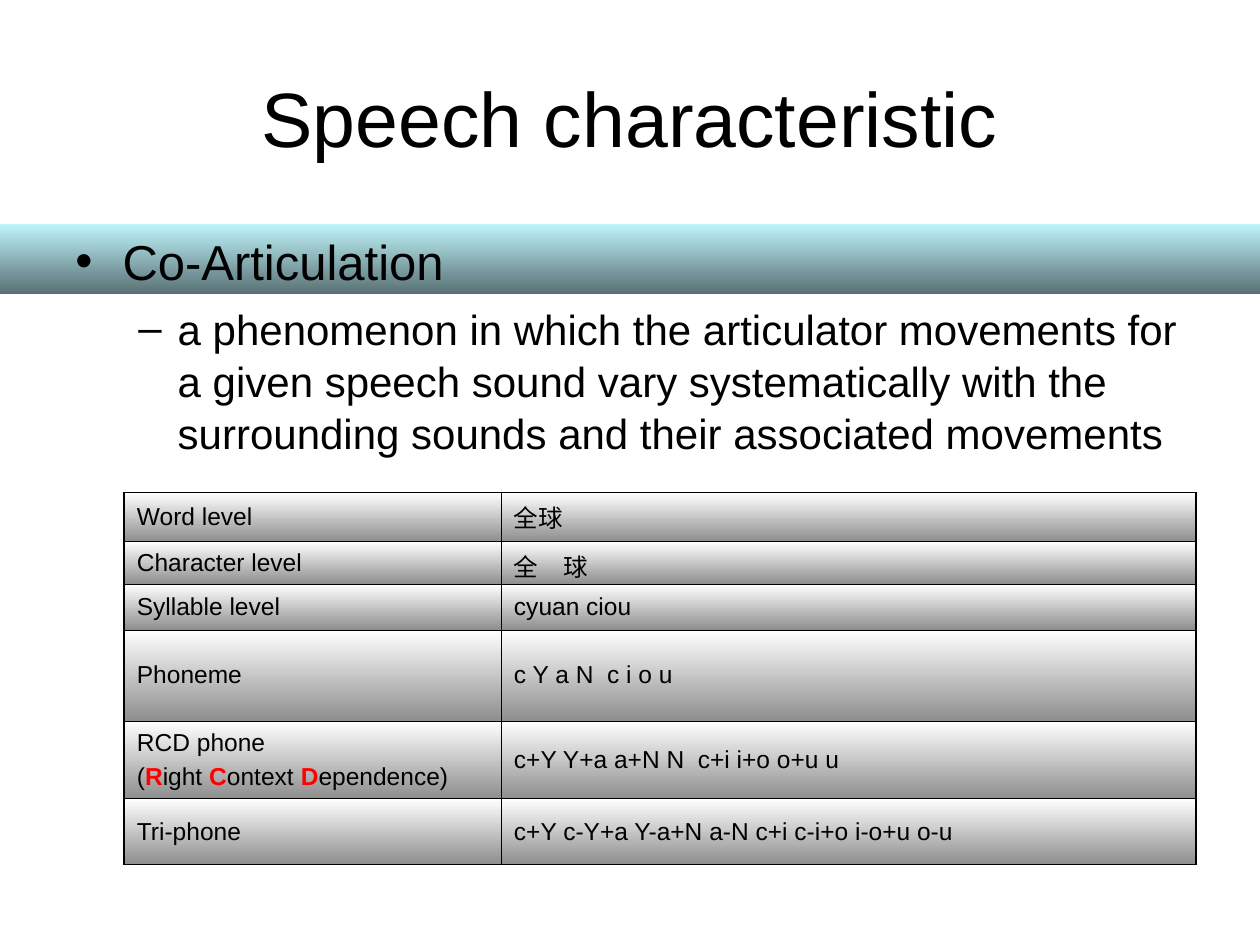
"""Build the slide on co-articulation as a speech characteristic."""
from lxml import etree
from pptx import Presentation
from pptx.dml.color import RGBColor
from pptx.enum import shapes, text
from pptx.oxml.ns import qn
from pptx.util import Pt


def tint(code):
    return RGBColor.from_string(code)


def shade(fill, top, base):
    fill.gradient()
    fill.gradient_angle = 270
    for stop, code in zip(fill.gradient_stops, (top, base)):
        stop.color.rgb = tint(code)


deck = Presentation()
deck.slide_width, deck.slide_height = Pt(720), Pt(540)
slide = deck.slides.add_slide(deck.slide_layouts[6])

band = slide.shapes.add_shape(
    shapes.MSO_SHAPE.RECTANGLE, Pt(0), Pt(128), Pt(720), Pt(40))
band.shadow.inherit = False
band.line.fill.background()
shade(band.fill, "BFF4FB", "587073")

title = slide.shapes.add_textbox(Pt(36), Pt(21.6), Pt(648), Pt(90)).text_frame
title.word_wrap = True
title.vertical_anchor = text.MSO_ANCHOR.MIDDLE
title.text = "Speech characteristic"
head = title.paragraphs[0]
head.alignment = text.PP_ALIGN.CENTER
head.font.size, head.font.name = Pt(44), "Arial"
head.font.color.rgb = tint("000000")

body = slide.shapes.add_textbox(Pt(36), Pt(127.5), Pt(653), Pt(356)).text_frame
body.word_wrap = True
body.text = (
    "Co-Articulation\n"
    "a phenomenon in which the articulator movements for a given speech sound "
    "vary systematically with the surrounding sounds and their associated movements")
levels = [("•", 27, 27, 28, 0), ("–", 58.5, 22.5, 24, 6)]
for rank, (para, (mark, left, hang, size, gap)) in enumerate(zip(body.paragraphs, levels)):
    para.level = rank
    props = para._p.get_or_add_pPr()
    props.set("marL", str(Pt(left)))
    props.set("indent", str(-Pt(hang)))
    etree.SubElement(props, qn("a:buFont"), typeface="Arial")
    etree.SubElement(props, qn("a:buChar"), char=mark)
    para.space_before = Pt(gap)
    para.line_spacing = 1.04
    para.font.size, para.font.name = Pt(size), "Arial"
    para.font.color.rgb = tint("000000")

rows = [
    (28, "Word level", "全球"),
    (24.5, "Character level", "全　球"),
    (26, "Syllable level", "cyuan ciou"),
    (52, "Phoneme", "c Y a N  c i o u"),
    (44.5, "RCD phone\n(*R*ight *C*ontext *D*ependence)", "c+Y Y+a a+N N  c+i i+o o+u u"),
    (37.5, "Tri-phone", "c+Y c-Y+a Y-a+N a-N c+i c-i+o i-o+u o-u"),
]
grid = slide.shapes.add_table(
    len(rows), 2, Pt(71), Pt(281.5), Pt(612.5), Pt(212.5)).table
grid.first_row = grid.horz_banding = False
grid.columns[0].width, grid.columns[1].width = Pt(215.5), Pt(397)

for r, (height, *words) in enumerate(rows):
    grid.rows[r].height = Pt(height)
    for c, word in enumerate(words):
        cell = grid.cell(r, c)
        cell.vertical_anchor = text.MSO_ANCHOR.MIDDLE
        props = cell._tc.get_or_add_tcPr()
        outer = {"L": c == 0, "R": c == 1, "T": r == 0, "B": r == len(rows) - 1}
        for side, edge in outer.items():
            line = etree.SubElement(
                props, qn("a:ln" + side), w=str(Pt(1.08 if edge else 0.45)))
            fill = etree.SubElement(line, qn("a:solidFill"))
            etree.SubElement(fill, qn("a:srgbClr"), val="000000")
        shade(cell.fill, "FFFFFF", "8E8E8E")
        for n, part in enumerate(word.split("\n")):
            frame = cell.text_frame
            para = frame.add_paragraph() if n else frame.paragraphs[0]
            para.space_before = Pt(3.5 if n else 0)
            for k, bit in enumerate(part.split("*")):
                run = para.add_run()
                run.text = bit
                run.font.size, run.font.name = Pt(14), "Arial"
                run.font.bold = k % 2 == 1
                run.font.color.rgb = tint("FF0000" if k % 2 else "000000")

deck.save("out.pptx")
